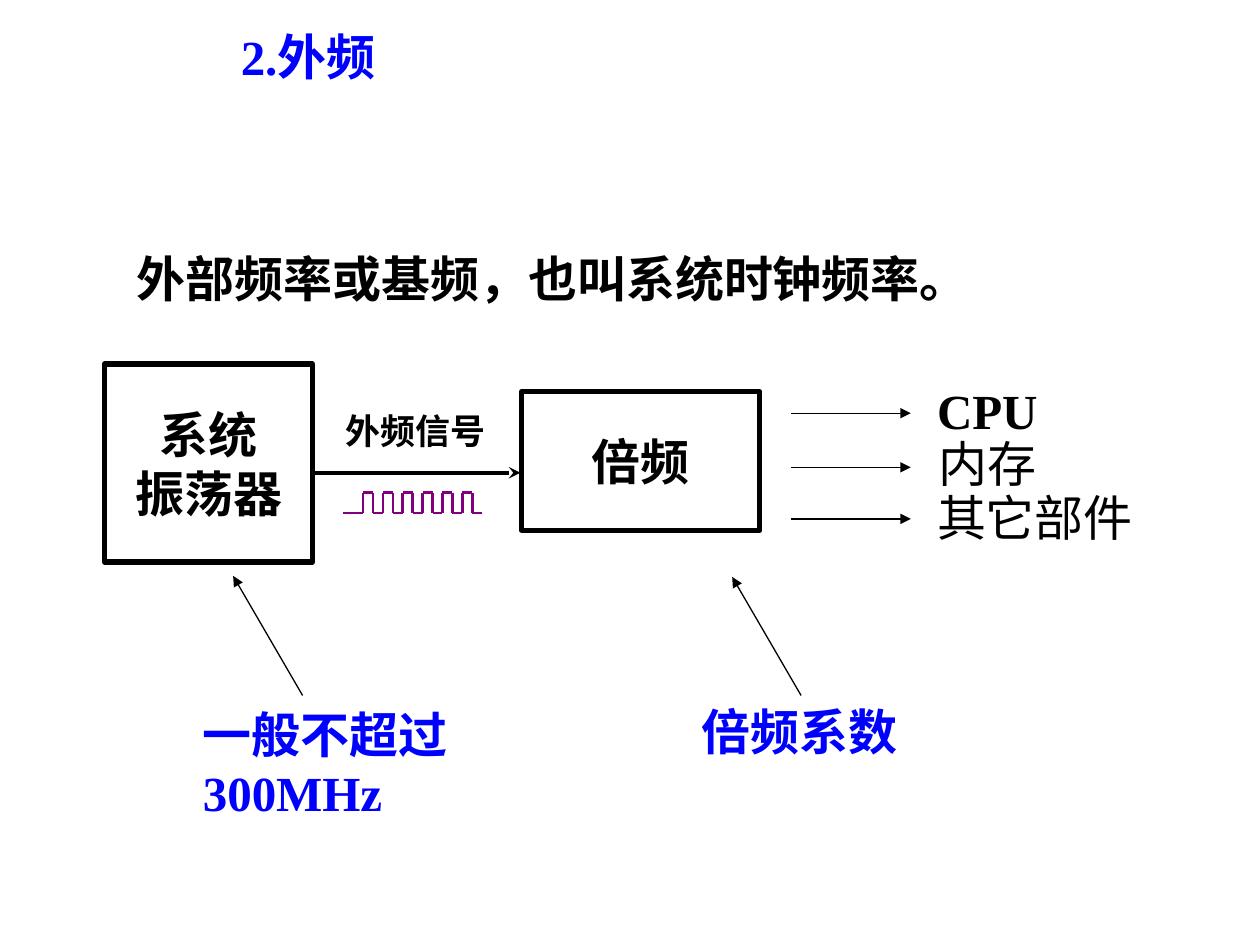
import itertools

import pptx
import pptx.dml.color
import pptx.enum.shapes
import pptx.enum.text
import pptx.oxml.ns
import pptx.util
from lxml import etree

Cm = pptx.util.Cm
Pt = pptx.util.Pt
qn = pptx.oxml.ns.qn
ALIGN = pptx.enum.text.PP_ALIGN
ANCHOR = pptx.enum.text.MSO_ANCHOR
FIT = pptx.enum.text.MSO_AUTO_SIZE

BLACK, BLUE, PURPLE = "000000", "0000FF", "800080"


def color(value):
    return pptx.dml.color.RGBColor.from_string(value)


class Board:
    serif = "Times New Roman"
    sans = "Arial"
    size = 28

    def __init__(self, page):
        self.page = page

    def fill_text(self, frame, lines, ink=BLACK, size=size, font=serif, bold=True, align=ALIGN.LEFT):
        frame.text = "\n".join(lines)
        for para in frame.paragraphs:
            para.alignment = align
            para.font.name = font
            para.font.size = Pt(size)
            para.font.bold = bold
            para.font.color.rgb = color(ink)

    def title(self, text, left, top, width, height):
        box = self.page.shapes.title
        box.left, box.top, box.width, box.height = map(Cm, (left, top, width, height))
        frame = box.text_frame
        frame.vertical_anchor = ANCHOR.TOP
        frame.auto_size = FIT.SHAPE_TO_FIT_TEXT
        self.fill_text(frame, [text], BLUE)
        frame.paragraphs[0].line_spacing = 0.8

    def text(self, text, left, top, width, height=1.45, wrap=False, **style):
        box = self.page.shapes.add_textbox(Cm(left), Cm(top), Cm(width), Cm(height))
        box.text_frame.word_wrap = wrap
        box.text_frame.auto_size = FIT.SHAPE_TO_FIT_TEXT
        self.fill_text(box.text_frame, [text], **style)

    def block(self, lines, left, top, width, height):
        box = self.page.shapes.add_shape(
            pptx.enum.shapes.MSO_SHAPE.RECTANGLE, Cm(left), Cm(top), Cm(width), Cm(height))
        box.shadow.inherit = False
        box.fill.background()
        box.line.color.rgb = color(BLACK)
        box.line.width = Pt(3)
        box.text_frame.word_wrap = False
        box.text_frame.vertical_anchor = ANCHOR.MIDDLE
        self.fill_text(box.text_frame, lines, align=ALIGN.CENTER)

    def line(self, start, end, ink=BLACK, weight=0.75, arrow=None):
        line = self.page.shapes.add_connector(
            pptx.enum.shapes.MSO_CONNECTOR.STRAIGHT, *map(Cm, (*start, *end)))
        line.line.color.rgb = color(ink)
        line.line.width = Pt(weight)
        properties = line._element.spPr
        if arrow:
            etree.SubElement(properties.find(qn("a:ln")), qn("a:tailEnd"), type=arrow)
        etree.SubElement(properties, qn("a:effectLst"))

    def pulse(self, left, first, step, edges, high, low):
        points = [(left, low)]
        for index in range(edges):
            x = first + index * step
            levels = (low, high) if index % 2 == 0 else (high, low)
            points += [(x, level) for level in levels]
        points.append((first + edges * step, low))
        for start, end in itertools.pairwise(points):
            self.line(start, end, PURPLE, 1.5)


def main():
    deck = pptx.Presentation()
    deck.slide_width, deck.slide_height = Cm(25.4), Cm(19.05)
    board = Board(deck.slides.add_slide(deck.slide_layouts[5]))

    board.title("2.外频", 4.6, 0.64, 9.32, 1.22)
    board.text("外部频率或基频，也叫系统时钟频率。", 2.51, 4.88, 20.8, wrap=True, font=board.sans)

    board.line((6.1, 14.02), (4.7, 11.61), arrow="triangle")
    board.text("一般不超过300MHz", 3.84, 14.07, 8.76, wrap=True, ink=BLUE)
    board.line((16.15, 14.02), (14.76, 11.63), arrow="triangle")
    board.text("倍频系数", 13.89, 14.02, 4.47, ink=BLUE)

    board.block(["系统", "振荡器"], 2.11, 7.34, 4.19, 3.99)
    board.block(["倍频"], 10.52, 7.9, 4.8, 2.79)

    outputs = [
        ("CPU", 8.33, 18.64, 7.54, 2.57, True),
        ("内存", 9.42, 18.67, 8.61, 2.49, False),
        ("其它部件", 10.46, 18.64, 9.7, 4.47, False),
    ]
    for name, level, left, top, width, bold in outputs:
        board.line((15.95, level), (18.36, level), arrow="triangle")
        board.text(name, left, top, width, bold=bold)

    board.line((6.35, 9.53), (10.49, 9.53), weight=2.25, arrow="stealth")
    board.text("外频信号", 6.71, 8.13, 3.38, 1.12, size=20)
    board.pulse(left=6.91, first=7.32, step=0.2, edges=12, high=9.93, low=10.34)

    deck.save("out.pptx")


if __name__ == "__main__":
    main()
